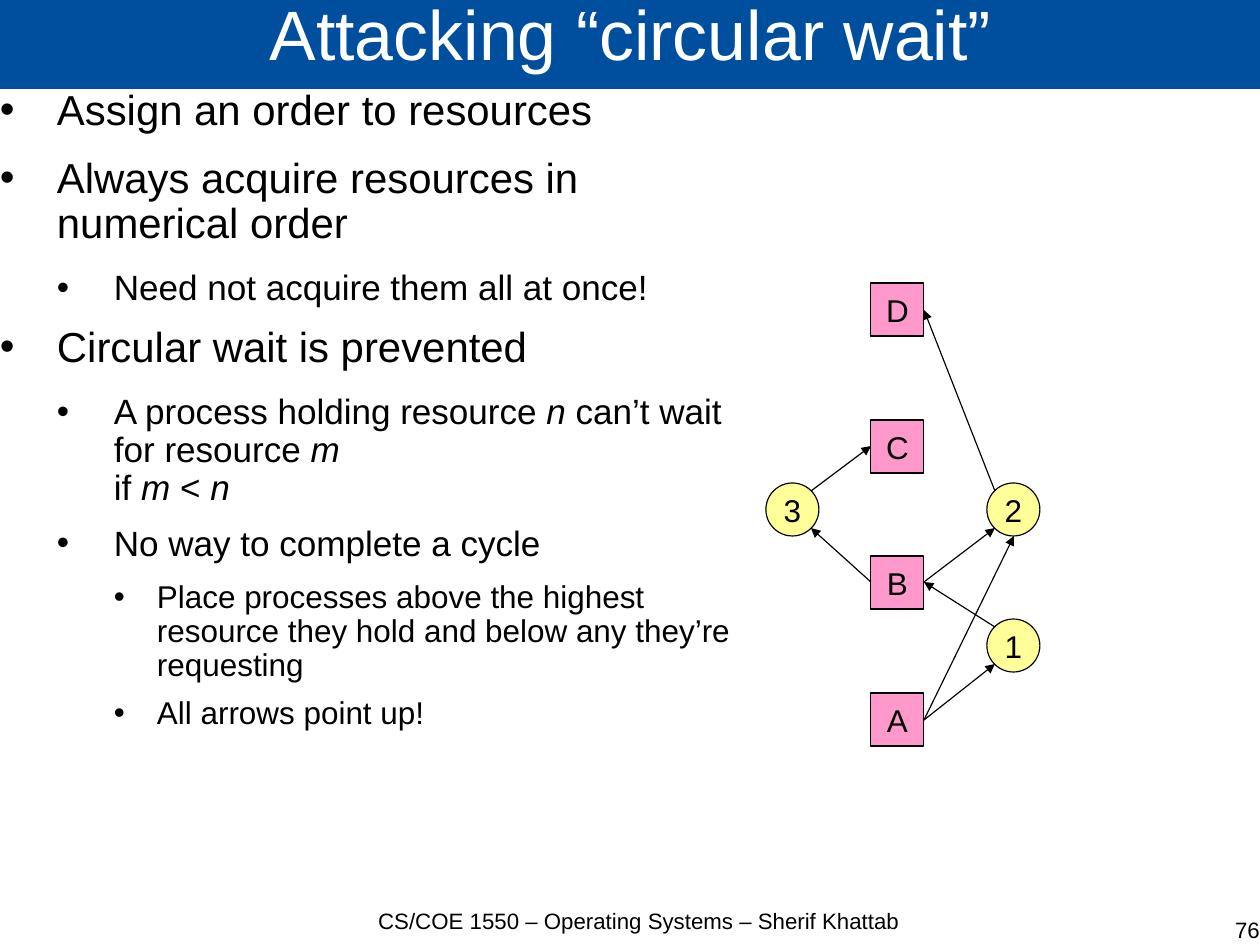
from math import sqrt

from lxml import etree
from pptx import Presentation
from pptx.dml.color import RGBColor
from pptx.enum.shapes import MSO_CONNECTOR, MSO_SHAPE
from pptx.enum.text import MSO_ANCHOR, MSO_AUTO_SIZE, PP_ALIGN
from pptx.oxml.ns import qn
from pptx.util import Emu, Pt

SQUARE, CIRCLE = MSO_SHAPE.RECTANGLE, MSO_SHAPE.OVAL
STRAIGHT = MSO_CONNECTOR.STRAIGHT
LEFT, CENTER, RIGHT = PP_ALIGN.LEFT, PP_ALIGN.CENTER, PP_ALIGN.RIGHT
TOP, MIDDLE = MSO_ANCHOR.TOP, MSO_ANCHOR.MIDDLE
NO_FIT = MSO_AUTO_SIZE.NONE

SLIDE_WIDTH, SLIDE_HEIGHT = Emu(10080625), Emu(7559675)  # 4:3 screen format
EMU_PER_PX = 8000  # the slide is 1260 px wide
TITLE_ONLY = 5
BLACK, WHITE, BLUE = "000000", "FFFFFF", "004F9E"
PINK, YELLOW = "FF99CC", "FFFF99"

# Per level: left margin, hanging indent, text size, space after
LEVELS = [(57, 57, 26.46, 14.2), (114, 57, 22.1, 11.4), (157, 43, 19.8, 8.5)]
POINTS = [
    (0, "Assign an order to resources"),
    (0, "Always acquire resources in numerical order"),
    (1, "Need not acquire them all at once!"),
    (0, "Circular wait is prevented"),
    (1, "A process holding resource *n* can’t wait for resource *m*\nif *m* < *n*"),
    (1, "No way to complete a cycle"),
    (2, "Place processes above the highest resource they hold "
        "and below any they’re requesting"),
    (2, "All arrows point up!"),
]

NODE_SIZE = 53
RESOURCES = {"A": (871, 693), "B": (871, 556), "C": (871, 420), "D": (871, 283)}
PROCESSES = {"1": (987, 619), "2": (987, 483), "3": (766, 483)}
NODES = RESOURCES | PROCESSES

# Directions from a node's centre to the place where an arrow meets its edge
DIAGONAL = sqrt(0.5)
SIDES = {
    "left": (-1, 0), "right": (1, 0), "bottom": (0, 1),
    "top left": (-DIAGONAL, -DIAGONAL), "top right": (DIAGONAL, -DIAGONAL),
    "bottom left": (-DIAGONAL, DIAGONAL), "bottom right": (DIAGONAL, DIAGONAL),
}
ARROWS = [
    ("A", "right", "1", "bottom left"),
    ("1", "top left", "B", "right"),
    ("A", "right", "2", "bottom"),
    ("B", "right", "2", "bottom left"),
    ("2", "top left", "D", "right"),
    ("3", "top right", "C", "left"),
    ("B", "left", "3", "bottom right"),
]


def px(length):
    return round(length * EMU_PER_PX)


def color(hex_string):
    return RGBColor.from_string(hex_string)


def edge_point(node, side):
    radius = NODE_SIZE / 2
    return [round(start + radius * (1 + step))
            for start, step in zip(NODES[node], SIDES[side])]


class SlideBuilder:
    def __init__(self, deck, font):
        self.font = font
        self.page = deck.slides.add_slide(deck.slide_layouts[TITLE_ONLY])

    def style(self, para, size, ink=BLACK, align=LEFT):
        para.alignment = align
        para.font.name = self.font
        para.font.size = Pt(size)
        para.font.color.rgb = color(ink)

    def frame(self, shape, anchor=TOP):
        """Return the shape's text frame, without margins or autofit."""
        frame = shape.text_frame
        frame.margin_left = frame.margin_right = 0
        frame.margin_top = frame.margin_bottom = 0
        frame.auto_size = NO_FIT
        frame.word_wrap = True
        frame.vertical_anchor = anchor
        return frame

    def title(self, text, left, top, width, height):
        box = self.page.shapes.title
        box.left, box.top = px(left), px(top)
        box.width, box.height = px(width), px(height)
        box.fill.solid()
        box.fill.fore_color.rgb = color(BLUE)
        para = self.frame(box, MIDDLE).paragraphs[0]
        para.text = text
        para.line_spacing = 0.69
        self.style(para, 44, WHITE, CENTER)

    def text_box(self, left, top, width, height):
        box = self.page.shapes.add_textbox(px(left), px(top), px(width), px(height))
        return self.frame(box)

    def label(self, text, align, *place):
        para = self.text_box(*place).paragraphs[0]
        para.text = text
        self.style(para, 14, align=align)

    def bullets(self, points, *place):
        frame = self.text_box(*place)
        for number, (level, text) in enumerate(points):
            para = frame.add_paragraph() if number else frame.paragraphs[0]
            self.bullet(para, level, text)

    def bullet(self, para, level, text):
        """Fill one bullet paragraph; asterisks enclose italic words."""
        margin, hanging, size, space_after = LEVELS[level]
        para.level = level
        para.line_spacing = 0.9
        para.space_after = Pt(space_after)
        properties = para._p.get_or_add_pPr()
        properties.set("marL", str(px(margin)))
        properties.set("indent", str(-px(hanging)))
        bullet_color = etree.SubElement(properties, qn("a:buClr"))
        etree.SubElement(bullet_color, qn("a:srgbClr"), val=BLACK)
        etree.SubElement(properties, qn("a:buFont"), typeface=self.font)
        etree.SubElement(properties, qn("a:buChar"), char="•")
        self.style(para, size)
        for number, line in enumerate(text.split("\n")):
            if number:
                para.add_line_break()
            for position, words in enumerate(line.split("*")):
                if words:
                    span = para.add_run()
                    span.text = words
                    if position % 2:
                        span.font.italic = True

    def node(self, name, kind, fill):
        left, top = NODES[name]
        shape = self.page.shapes.add_shape(
            kind, px(left), px(top), px(NODE_SIZE), px(NODE_SIZE))
        shape.shadow.inherit = False
        shape.fill.solid()
        shape.fill.fore_color.rgb = color(fill)
        shape.line.color.rgb = color(BLACK)
        shape.line.width = Pt(0.75)
        frame = shape.text_frame
        frame.word_wrap = False
        frame.vertical_anchor = MIDDLE
        para = frame.paragraphs[0]
        para.text = name
        self.style(para, 19.8, align=CENTER)

    def arrow(self, start, end):
        line = self.page.shapes.add_connector(STRAIGHT, *map(px, start + end))
        line.line.color.rgb = color(BLACK)
        line.line.width = Pt(0.75)
        etree.SubElement(line.line._get_or_add_ln(), qn("a:tailEnd"), type="triangle")
        etree.SubElement(line._element.spPr, qn("a:effectLst"))


def main():
    deck = Presentation()
    deck.slide_width, deck.slide_height = SLIDE_WIDTH, SLIDE_HEIGHT
    slide = SlideBuilder(deck, "Arial")
    slide.title("Attacking “circular wait”", 0, -3, 1262, 92)
    slide.bullets(POINTS, 0, 89, 767, 821)
    slide.label("CS/COE 1550 – Operating Systems – Sherif Khattab",
                CENTER, 351, 907, 576, 37)
    slide.label("76", RIGHT, 684, 916, 576, 29)
    for name in RESOURCES:
        slide.node(name, SQUARE, PINK)
    for name in PROCESSES:
        slide.node(name, CIRCLE, YELLOW)
    for source, source_side, target, target_side in ARROWS:
        slide.arrow(edge_point(source, source_side), edge_point(target, target_side))
    deck.save("out.pptx")


if __name__ == "__main__":
    main()
